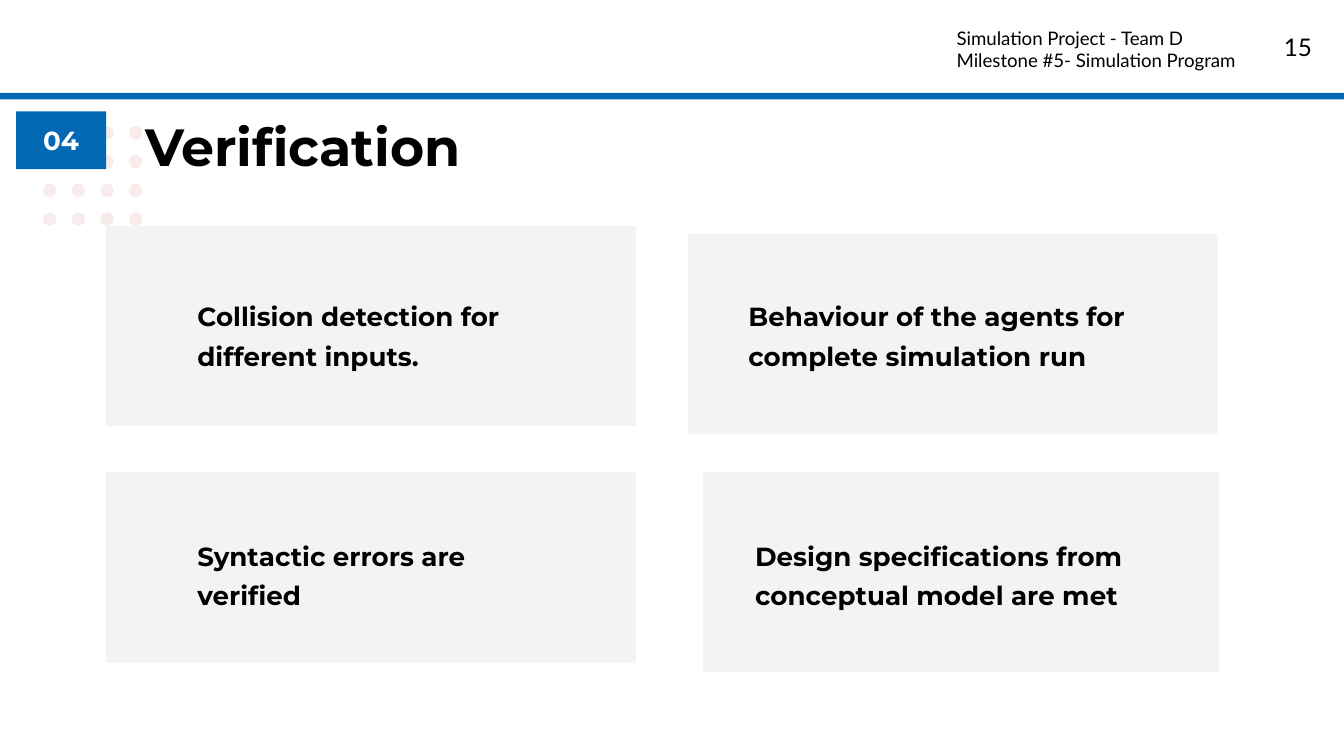
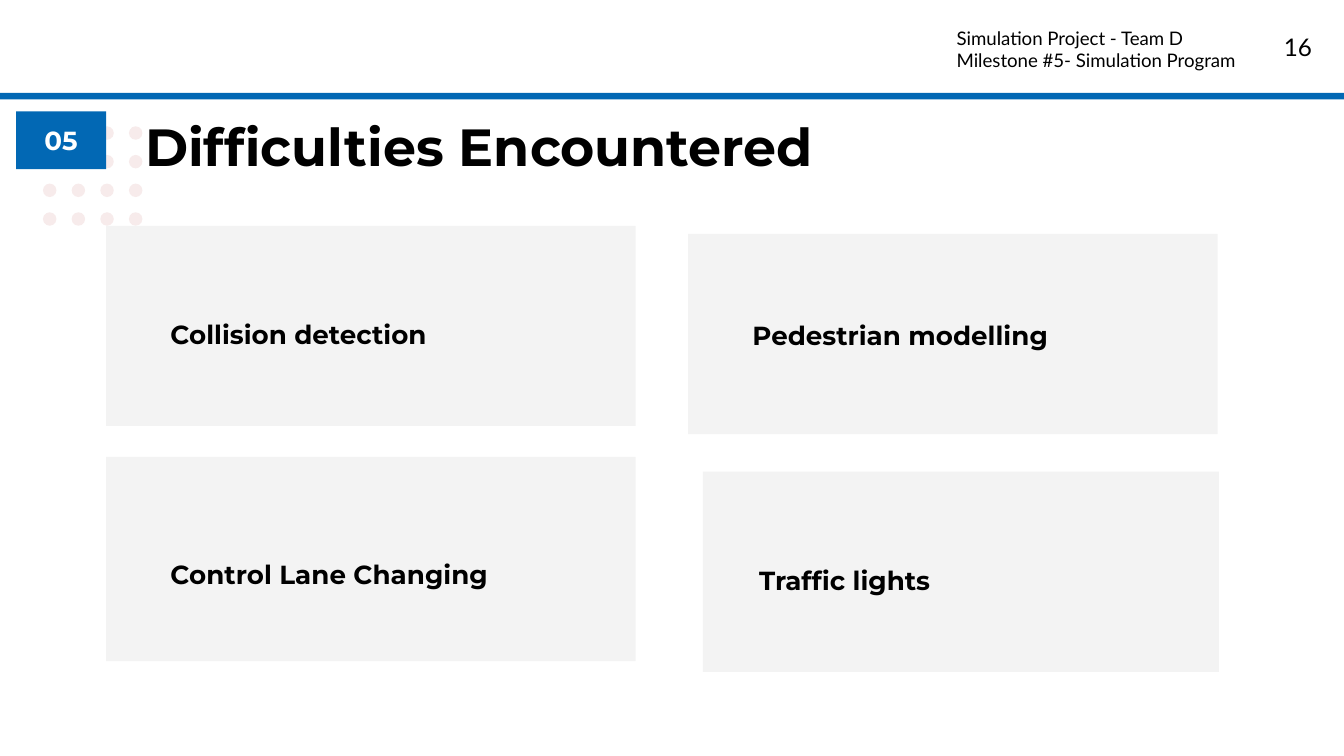
from pptx import Presentation
from pptx.dml.color import RGBColor
from pptx.enum.shapes import MSO_SHAPE as SHAPE
from pptx.enum.text import MSO_ANCHOR as ANCHOR, PP_ALIGN as ALIGN
from pptx.util import Inches, Pt

BLUE = RGBColor(0x02, 0x68, 0xB4)
GREY = RGBColor(0xF3, 0xF3, 0xF3)
PINK = RGBColor(0xF7, 0xEB, 0xEB)
BLACK = RGBColor(0, 0, 0)
WHITE = RGBColor(0xFF, 0xFF, 0xFF)

SLIDE_W = 10
SLIDE_H = SLIDE_W * 9 / 16
FIRST_PAGE = 15
HEADER = ["Simulation Project - Team D", "Milestone #5- Simulation Program"]

HEADING = dict(name="Montserrat", size=Pt(28), bold=True)
LABEL = dict(name="Montserrat", size=Pt(14), bold=True)
HEADER_TEXT = dict(name="Lato", size=Pt(10))
PAGE_TEXT = dict(name="Lato", size=Pt(13))

TOP_CARDS = [(0.79, 1.68, 3.94, 1.49), (5.12, 1.74, 3.94, 1.49)]
LAST_CARD = (5.23, 3.51, 3.84, 1.49)

SLIDES = [
    dict(
        number="04",
        title="Verification",
        cards=[*TOP_CARDS, (0.79, 3.51, 3.94, 1.42), LAST_CARD],
        labels=[
            ("Collision detection for different inputs.", (1.37, 2.08, 2.47, 0.71)),
            ("Behaviour of the agents for complete simulation run", (5.47, 2.08, 3.25, 0.71)),
            ("Syntactic errors are verified", (1.37, 3.86, 2.87, 0.71)),
            ("Design specifications from conceptual model are met", (5.52, 3.86, 3.25, 0.71)),
        ],
    ),
    dict(
        number="05",
        title="Difficulties Encountered",
        cards=[*TOP_CARDS, (0.79, 3.4, 3.94, 1.52), LAST_CARD],
        labels=[
            ("Collision detection", (1.17, 2.21, 2.47, 0.43)),
            ("Pedestrian modelling", (5.5, 2.22, 3.2, 0.43)),
            ("Control Lane Changing", (1.17, 4, 2.88, 0.43)),
            ("Traffic lights", (5.55, 4.04, 3.15, 0.43)),
        ],
    ),
]


def add_block(s, box, fill, kind=SHAPE.RECTANGLE):
    sp = s.shapes.add_shape(kind, *map(Inches, box))
    sp.shadow.inherit = False
    sp.fill.solid()
    sp.fill.fore_color.rgb = fill
    sp.line.fill.background()
    return sp


def write(sp, lines, style, color=BLACK, align=ALIGN.LEFT, spacing=None,
          anchor=ANCHOR.TOP, side=0.1, left=None):
    tf = sp.text_frame
    frame = dict(word_wrap=True, vertical_anchor=anchor,
                 margin_left=Inches(side if left is None else left),
                 margin_right=Inches(side),
                 margin_top=Inches(0.1), margin_bottom=Inches(0.1))
    for key, value in frame.items():
        setattr(tf, key, value)
    for i, line in enumerate(lines):
        p = tf.add_paragraph() if i else tf.paragraphs[0]
        p.alignment = align
        p.line_spacing = spacing
        r = p.add_run()
        r.text = line
        for key, value in style.items():
            setattr(r.font, key, value)
        r.font.color.rgb = color


def add_text(s, box, lines, style, **options):
    write(s.shapes.add_textbox(*map(Inches, box)), lines, style, **options)


def add_dots(s):
    step = 0.64 / 3
    for row in range(4):
        for col in range(0 if row else 2, 4):
            add_block(s, (0.32 + col * step, 0.94 + row * step, 0.1, 0.1), PINK, SHAPE.OVAL)


def add_frame(s, title, page):
    add_dots(s)
    add_block(s, (0, 0, SLIDE_W, 0.69), WHITE)
    add_block(s, (0, 0.69, SLIDE_W, 0.05), BLUE)
    add_text(s, (0.21, 0.75, 9.58, 0.71), [title], HEADING, left=0.87)
    add_text(s, (9.26, 0.14, 0.6, 0.43), [str(page)], PAGE_TEXT, align=ALIGN.RIGHT)
    add_text(s, (7.02, 0.1, 2.53, 0.56), HEADER, HEADER_TEXT)


def main():
    prs = Presentation()
    prs.slide_width, prs.slide_height = Inches(SLIDE_W), Inches(SLIDE_H)
    for page, content in enumerate(SLIDES, FIRST_PAGE):
        s = prs.slides.add_slide(prs.slide_layouts[6])
        add_frame(s, content["title"], page)
        for box in content["cards"]:
            add_block(s, box, GREY)
        badge = add_block(s, (0.12, 0.83, 0.67, 0.43), BLUE)
        write(badge, [content["number"]], LABEL, color=WHITE, align=ALIGN.CENTER,
              anchor=ANCHOR.MIDDLE, side=0)
        for text, box in content["labels"]:
            add_text(s, box, [text], LABEL, spacing=1.25)
    prs.save("out.pptx")


if __name__ == "__main__":
    main()
